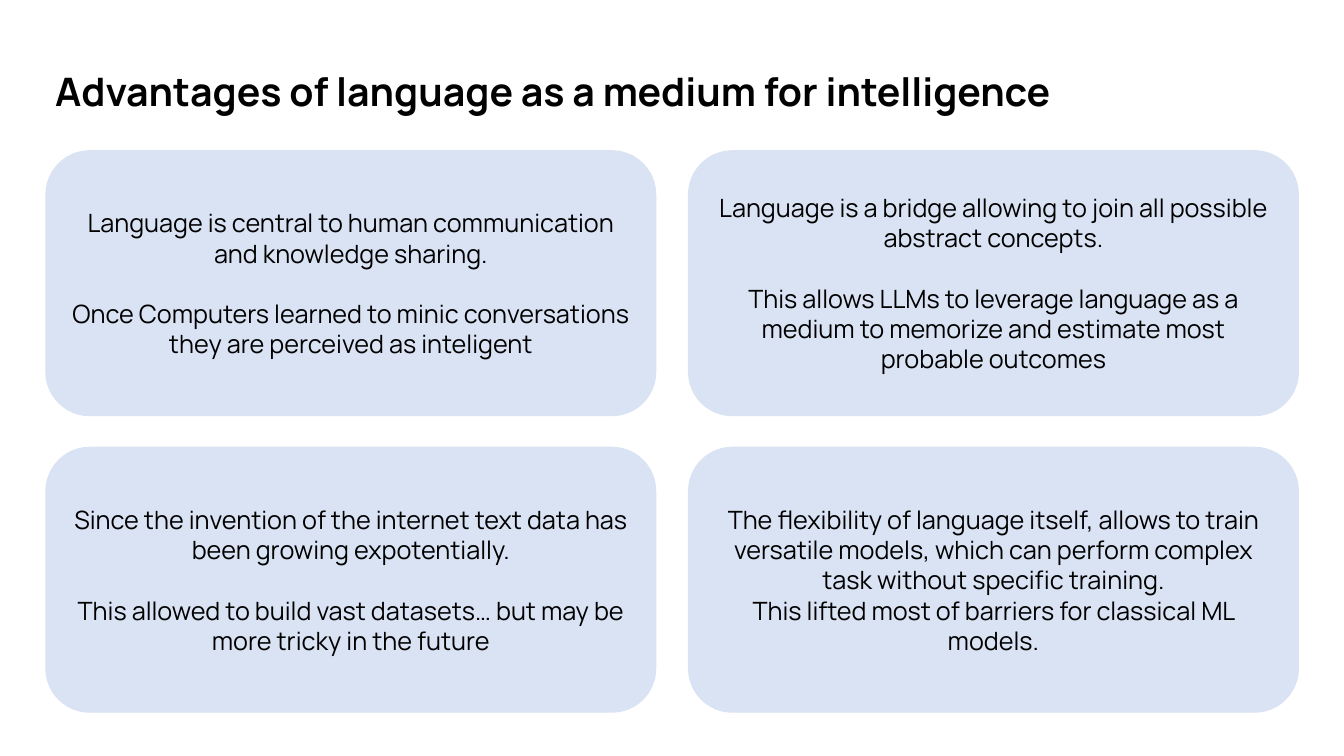
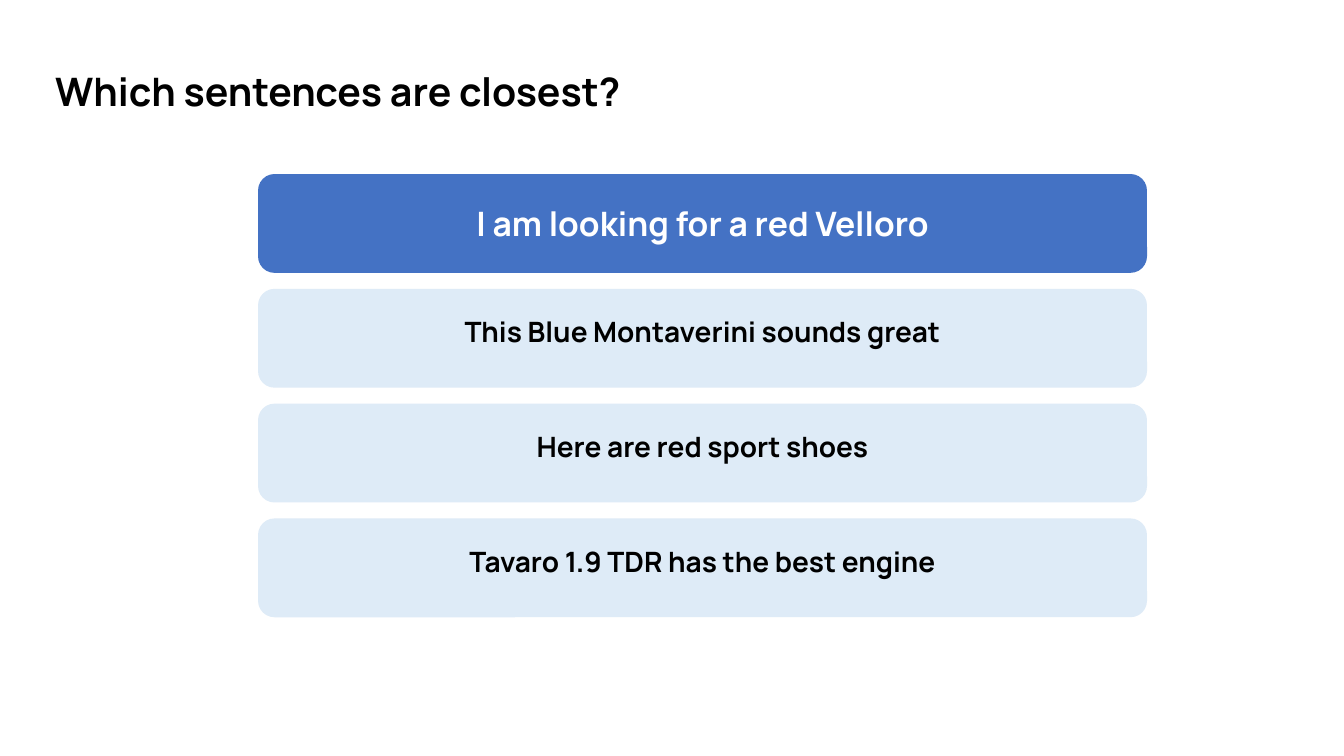
from pptx import Presentation
from pptx.dml.color import RGBColor
from pptx.enum.shapes import MSO_SHAPE
from pptx.enum.text import MSO_ANCHOR, MSO_AUTO_SIZE, PP_ALIGN
from pptx.util import Pt

ROUND = MSO_SHAPE.ROUNDED_RECTANGLE
MIDDLE = MSO_ANCHOR.MIDDLE
GROW = MSO_AUTO_SIZE.SHAPE_TO_FIT_TEXT
LEFT, CENTER = PP_ALIGN.LEFT, PP_ALIGN.CENTER


def color(code):
    return RGBColor.from_string(code)


class Deck:
    FONT = "Manrope"
    BLACK, WHITE = "000000", "FFFFFF"
    PALE, BLUE, LIGHT = "DAE3F3", "4472C4", "DEEBF7"
    EDGE = 32.4

    def __init__(self):
        self.file = Presentation()
        self.file.slide_width, self.file.slide_height = Pt(960), Pt(540)
        self.slide = None

    def page(self, title):
        self.slide = self.file.slides.add_slide(self.file.slide_layouts[6])
        box = self.slide.shapes.add_textbox(Pt(self.EDGE), Pt(44.6), Pt(895.7), Pt(41))
        frame = box.text_frame
        frame.word_wrap = True
        frame.auto_size = GROW
        self.label(frame.paragraphs[0], title, 28, bold=True, align=LEFT)

    def label(self, para, text, size, ink=BLACK, bold=False, align=CENTER):
        para.alignment = align
        run = para.add_run()
        run.text = text
        font = run.font
        font.name, font.size, font.bold = self.FONT, Pt(size), bold
        font.color.rgb = color(ink)

    def card(self, area, fill, texts, size, ink=BLACK, bold=False, gap=0, line=None):
        shape = self.slide.shapes.add_shape(ROUND, *map(Pt, area))
        shape.shadow.inherit = False
        shape.fill.solid()
        shape.fill.fore_color.rgb = color(fill)
        shape.line.fill.background()
        frame = shape.text_frame
        frame.word_wrap = True
        frame.vertical_anchor = MIDDLE
        for i, text in enumerate(texts):
            para = frame.add_paragraph() if i else frame.paragraphs[0]
            if i:
                para.space_before = Pt(gap)
            if line:
                para.line_spacing = Pt(line)
            self.label(para, text, size, ink, bold)


def merits(deck):
    deck.page("Advantages of language as a medium for intelligence")
    wide, high, gap = 436.4, 190, 21.6
    cards = [
        (gap, ["Language is central to human communication and knowledge sharing.",
               "Once Computers learned to minic conversations they are perceived as inteligent"]),
        (gap, ["Language is a bridge allowing to join all possible abstract concepts.",
               "This allows LLMs to leverage language as a medium to memorize and estimate "
               "most probable outcomes"]),
        (gap, ["Since the invention of the internet text data has been growing expotentially.",
               "This allowed to build vast datasets… but may be more tricky in the future"]),
        (0, ["The flexibility of language itself, allows to train versatile models, "
             "which can perform complex task without specific training.",
             "This lifted most of barriers for classical ML models."]),
    ]
    for i, (space, texts) in enumerate(cards):
        row, col = divmod(i, 2)
        area = deck.EDGE + col * (wide + 22.6), 107.3 + row * (high + 21.8), wide, high
        deck.card(area, deck.PALE, texts, 18, gap=space)


def quiz(deck):
    deck.page("Which sentences are closest?")
    lines = [
        "I am looking for a red Velloro",
        "This Blue Montaverini sounds great",
        "Here are red sport shoes",
        "Tavaro 1.9 TDR has the best engine",
    ]
    for i, text in enumerate(lines):
        area = 184.3, 124.3 + i * 82, 635, 70.6
        if i == 0:
            deck.card(area, deck.BLUE, [text], 24, deck.WHITE, bold=True)
        else:
            deck.card(area, deck.LIGHT, [text], 20, bold=True, line=14.2)


def main():
    deck = Deck()
    merits(deck)
    quiz(deck)
    deck.file.save("out.pptx")


if __name__ == "__main__":
    main()
